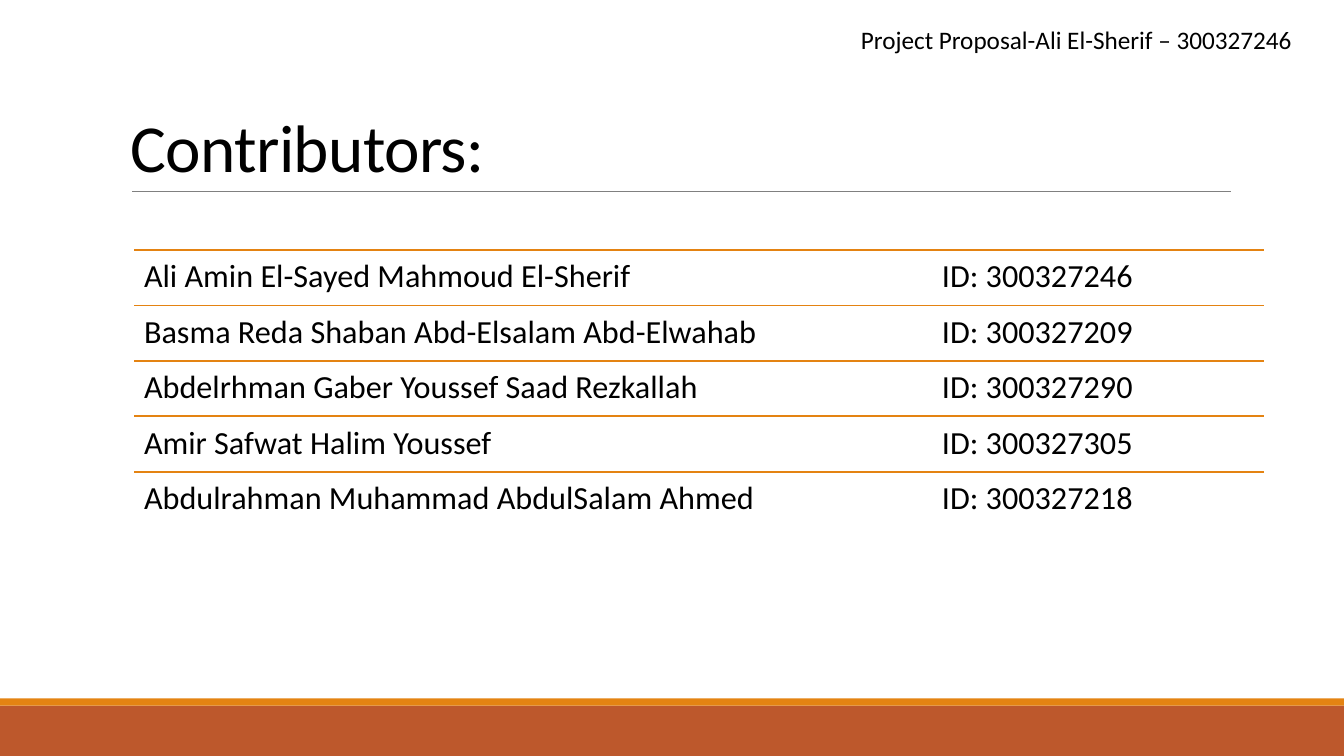
import pptx
import pptx.dml.color
import pptx.enum.shapes
import pptx.enum.text
import pptx.oxml
import pptx.oxml.ns
import pptx.util

RGBColor = pptx.dml.color.RGBColor
Align = pptx.enum.text.PP_ALIGN
Anchor = pptx.enum.text.MSO_ANCHOR

RUST = RGBColor(0xBD, 0x58, 0x2C)
ORANGE = RGBColor(0xE4, 0x83, 0x12)
GREY = RGBColor(0x80, 0x80, 0x80)
BLACK = RGBColor(0, 0, 0)
FONT = "Calibri"
EMU_PER_PX = 9144

CONTRIBUTORS = [
    ("Ali Amin El-Sayed Mahmoud El-Sherif", "ID: 300327246"),
    ("Basma Reda Shaban Abd-Elsalam Abd-Elwahab", "ID: 300327209"),
    ("Abdelrhman Gaber Youssef Saad Rezkallah", "ID: 300327290"),
    ("Amir Safwat Halim Youssef", "ID: 300327305"),
    ("Abdulrahman Muhammad AbdulSalam Ahmed", "ID: 300327218"),
]


def px(length):
    return pptx.util.Emu(length * EMU_PER_PX)


def add_rule(shapes, left, top, width, color, weight):
    rule = shapes.add_connector(
        pptx.enum.shapes.MSO_CONNECTOR.STRAIGHT,
        px(left), px(top), px(left + width), px(top))
    rule.line.color.rgb = color
    rule.line.width = pptx.util.Pt(weight)
    rule._element.spPr.append(pptx.oxml.parse_xml(
        "<a:effectLst %s/>" % pptx.oxml.ns.nsdecls("a")))


def add_text(shapes, box, text, size, align=Align.LEFT, anchor=Anchor.TOP,
             spacing=1.0, inset=5):
    label = shapes.add_textbox(*map(px, box))
    frame = label.text_frame
    frame.word_wrap = True
    frame.vertical_anchor = anchor
    frame.margin_left = frame.margin_right = px(10)
    frame.margin_top = frame.margin_bottom = px(inset)
    paragraph = frame.paragraphs[0]
    paragraph.alignment = align
    paragraph.line_spacing = spacing
    run = paragraph.add_run()
    run.text = text
    run.font.name = FONT
    run.font.size = pptx.util.Pt(size)
    run.font.color.rgb = BLACK
    return label, run


def add_footer(shapes, left, top, width, height):
    stripe = 7
    bands = [(top + stripe, height - stripe, RUST), (top, stripe, ORANGE)]
    for band_top, band_height, color in bands:
        band = shapes.add_shape(
            pptx.enum.shapes.MSO_SHAPE.RECTANGLE,
            px(left), px(band_top), px(width), px(band_height))
        band.shadow.inherit = False
        band.fill.solid()
        band.fill.fore_color.rgb = color
        band.line.fill.background()


def add_title(shapes, left, top, width, height):
    add_rule(shapes, left + 11, top + height, width - 10, GREY, 0.5)
    title, run = add_text(shapes, (left, top, width, height), "Contributors:",
                          48, anchor=Anchor.BOTTOM, spacing=0.85)
    run._r.get_or_add_rPr().set("spc", "-50")


def add_column(shapes, left, top, width, height, entries, align):
    column = shapes.add_group_shape().shapes
    row_height = height // len(entries)
    for index, entry in enumerate(entries):
        row_top = top + index * row_height
        add_rule(column, left, row_top, width, ORANGE, 1.25)
        add_text(column, (left, row_top, width, row_height), entry, 23,
                 align=align, spacing=0.9, inset=10)


def add_contributors(shapes, left, top, width, height):
    names, ids = zip(*CONTRIBUTORS)
    name_width = 671
    add_column(shapes, left, top, name_width, height, names, Align.LEFT)
    add_column(shapes, left + name_width, top, width - name_width, height,
               ids, Align.CENTER)


def add_header(shapes, left, top, width, height):
    header, run = add_text(shapes, (left, top, width, height),
                           "Project Proposal-Ali El-Sherif – 300327246", 18)
    header.text_frame.auto_size = pptx.enum.text.MSO_AUTO_SIZE.SHAPE_TO_FIT_TEXT


def main():
    deck = pptx.Presentation()
    deck.slide_width, deck.slide_height = px(1333), px(750)
    shapes = deck.slides.add_slide(deck.slide_layouts[6]).shapes
    add_footer(shapes, 0, 693, 1333, 57)
    add_title(shapes, 120, 103, 1100, 87)
    add_contributors(shapes, 133, 248, 1121, 275)
    add_header(shapes, 844, 19, 462, 40)
    deck.save("out.pptx")


if __name__ == "__main__":
    main()
